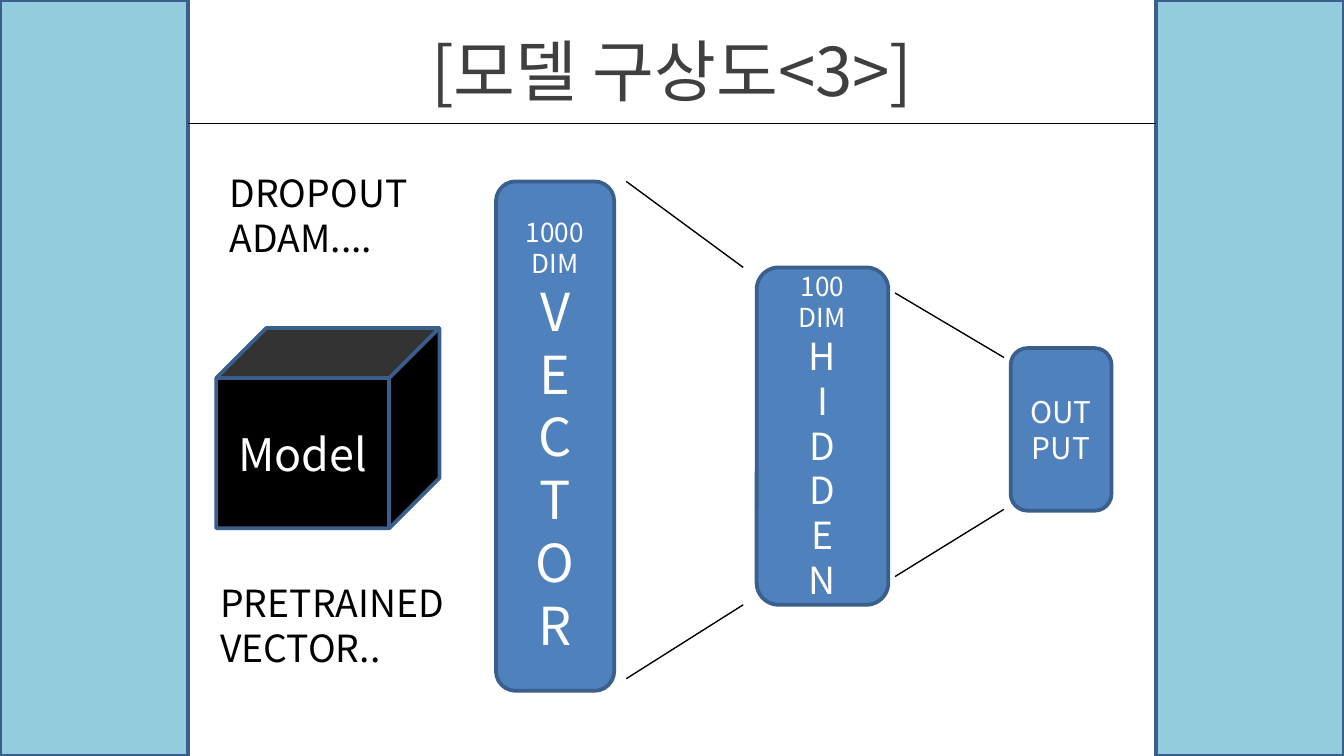
from dataclasses import dataclass

from lxml.etree import SubElement
from pptx import Presentation
from pptx.dml.color import RGBColor
from pptx.enum.shapes import MSO_CONNECTOR, MSO_SHAPE
from pptx.enum.text import MSO_ANCHOR, PP_ALIGN
from pptx.oxml.ns import qn
from pptx.util import Inches, Pt

COLUMNS, ROWS, CELL = 100, 56.25, Inches(0.1)
FONT = "Noto Sans CJK KR"
BLACK, WHITE, GREY = "000000", "FFFFFF", "3F3F3F"
SKY, BLUE, OUTLINE = "93CDDD", "4F81BD", "3A5F8C"
BAND_WIDTH, HEADER_ROW = 14, 9.2


@dataclass(frozen=True)
class Line:
    """One paragraph of text and its size in points."""
    words: str
    size: float


@dataclass(frozen=True)
class Block:
    """A filled preset shape placed in grid columns and rows."""
    kind: MSO_SHAPE
    area: tuple[float, float, float, float]
    fill: str
    lines: tuple[Line, ...] = ()


@dataclass(frozen=True)
class Caption:
    """Free text placed in grid columns and rows."""
    area: tuple[float, float, float, float]
    lines: tuple[Line, ...]
    color: str = BLACK
    align: PP_ALIGN = PP_ALIGN.LEFT
    anchor: MSO_ANCHOR = MSO_ANCHOR.TOP
    inset: float = 0.05


@dataclass(frozen=True)
class Ray:
    """A thin straight line between two grid points."""
    start: tuple[float, float]
    end: tuple[float, float]


def stack(label: str, label_size: float, letters: str = "", letter_size: float = 0) -> tuple[Line, ...]:
    """Put label words and then single letters one under another."""
    return (*(Line(word, label_size) for word in label.split()),
            *(Line(letter, letter_size) for letter in letters))


def grid(*cells: float) -> list[int]:
    """Turn grid cells into slide lengths."""
    return [round(cell * CELL) for cell in cells]


def rgb(value: str) -> RGBColor:
    """Turn a hex string into a colour."""
    return RGBColor.from_string(value)


def apply(target, formats: dict) -> None:
    """Set every attribute named in a dict of format values."""
    for name, value in formats.items():
        setattr(target, name, value)


def write(frame, lines: tuple[Line, ...], color: str, align: PP_ALIGN) -> None:
    """Fill a text frame with one paragraph per line."""
    for index, line in enumerate(lines):
        paragraph = frame.paragraphs[0] if index == 0 else frame.add_paragraph()
        paragraph.alignment = align
        run = paragraph.add_run()
        run.text = line.words
        apply(run.font, {"size": Pt(line.size), "name": FONT})
        run.font.color.rgb = rgb(color)
        SubElement(run.font._element, qn("a:ea"), typeface=FONT)


def draw_block(slide, block: Block) -> None:
    """Draw a filled shape with centred white text."""
    shape = slide.shapes.add_shape(block.kind, *grid(*block.area))
    shape.shadow.inherit = False
    shape.fill.solid()
    shape.fill.fore_color.rgb = rgb(block.fill)
    shape.line.color.rgb = rgb(OUTLINE)
    shape.line.width = Pt(2)
    apply(shape.text_frame, {"word_wrap": True, "vertical_anchor": MSO_ANCHOR.MIDDLE})
    write(shape.text_frame, block.lines, WHITE, PP_ALIGN.CENTER)


def draw_caption(slide, caption: Caption) -> None:
    """Draw wrapped text without a frame."""
    frame = slide.shapes.add_textbox(*grid(*caption.area)).text_frame
    apply(frame, {"word_wrap": True, "vertical_anchor": caption.anchor,
                  "margin_top": Inches(caption.inset),
                  "margin_bottom": Inches(caption.inset)})
    write(frame, caption.lines, caption.color, caption.align)


def draw_ray(slide, ray: Ray) -> None:
    """Draw a thin black line without a shadow."""
    connector = slide.shapes.add_connector(MSO_CONNECTOR.STRAIGHT, *grid(*ray.start, *ray.end))
    connector.line.color.rgb = rgb(BLACK)
    connector.line.width = Pt(0.75)
    SubElement(connector._element.spPr, qn("a:effectLst"))


TITLE = Caption((0, 1.6, COLUMNS, 7.1), (Line("[모델 구상도<3>]", 36),), GREY,
                PP_ALIGN.CENTER, MSO_ANCHOR.MIDDLE, 0.1)
BANDS = [Block(MSO_SHAPE.RECTANGLE, (left, 0, BAND_WIDTH, ROWS), SKY)
         for left in (0, COLUMNS - BAND_WIDTH)]
HEADER_RULE = Ray((BAND_WIDTH, HEADER_ROW), (COLUMNS - BAND_WIDTH, HEADER_ROW))
MODEL = Block(MSO_SHAPE.CUBE, (16.1, 24.4, 16.6, 14.9), BLACK, (Line("Model", 24),))
LAYERS = [Block(MSO_SHAPE.ROUNDED_RECTANGLE, area, BLUE, lines) for area, lines in (
    ((36.9, 13.5, 8.8, 37.9), stack("1000 DIM", 14, "VECTOR", 28)),
    ((56.3, 19.9, 9.8, 25.1), stack("100 DIM", 14, "HIDDEN", 20)),
    ((75.2, 25.9, 7.5, 12.1), stack("OUT PUT", 16)),
)]
FUNNELS = [
    Ray((46.6, 13.5), (55.3, 19.9)),
    Ray((46.6, 50.5), (55.3, 45)),
    Ray((66.6, 21.8), (74.7, 26.6)),
    Ray((66.6, 42.9), (74.7, 37.9)),
]
NOTES = [
    Caption((16.1, 12.2, 16.6, 7.7), stack("DROPOUT ADAM....", 20)),
    Caption((15.4, 42.7, 20.2, 7.7), (Line("PRETRAINED VECTOR..", 20),)),
]


def main() -> None:
    """Build the model diagram slide."""
    deck = Presentation()
    apply(deck, dict(zip(("slide_width", "slide_height"), grid(COLUMNS, ROWS))))
    slide = deck.slides.add_slide(deck.slide_layouts[6])
    draw_caption(slide, TITLE)
    for band in BANDS:
        draw_block(slide, band)
    draw_ray(slide, HEADER_RULE)
    for block in (MODEL, *LAYERS):
        draw_block(slide, block)
    for funnel in FUNNELS:
        draw_ray(slide, funnel)
    for note in NOTES:
        draw_caption(slide, note)
    deck.save("out.pptx")


if __name__ == "__main__":
    main()
